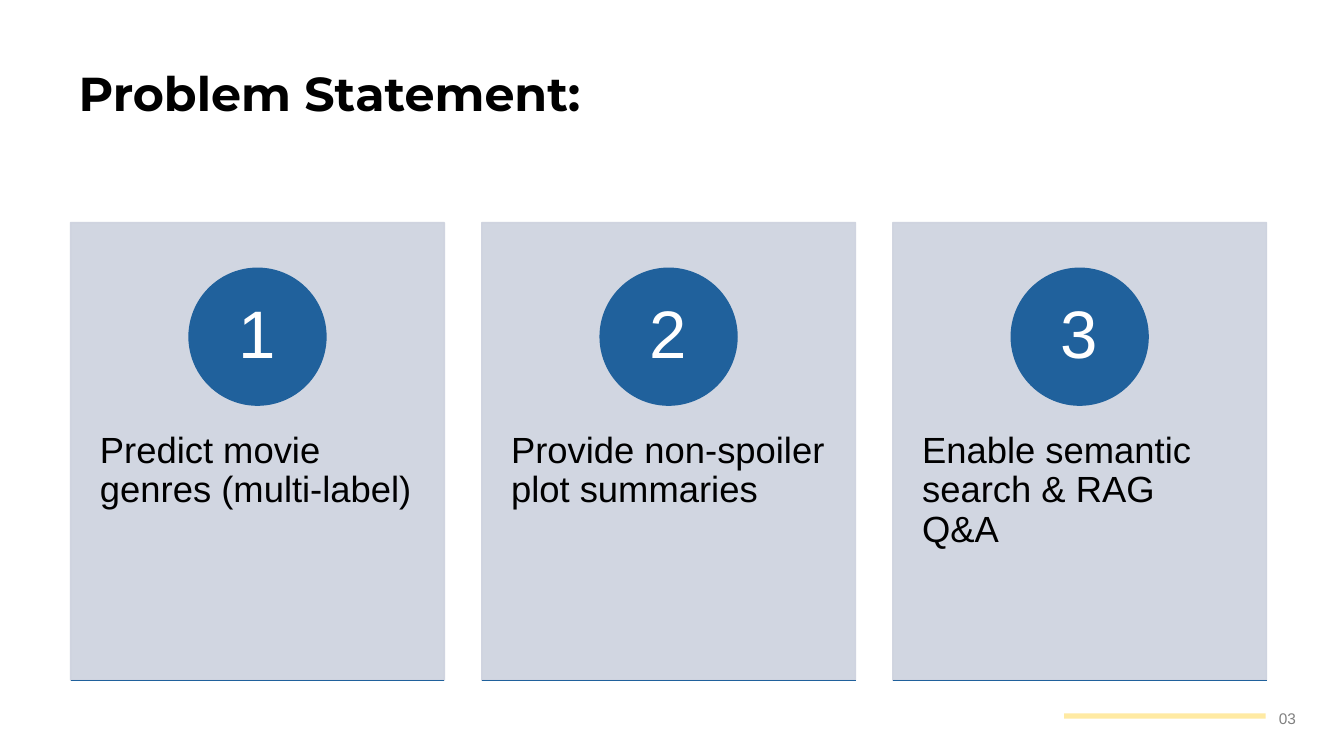
from dataclasses import dataclass

from lxml.etree import SubElement
from pptx import Presentation
from pptx.dml.color import RGBColor as RGB
from pptx.enum.shapes import MSO_CONNECTOR as CONN, MSO_SHAPE as SHAPE
from pptx.enum.text import MSO_ANCHOR as ANCHOR, PP_ALIGN as ALIGN
from pptx.oxml.ns import qn
from pptx.util import Cm, Pt


@dataclass(frozen=True)
class Theme:
    """Colours, fonts and type sizes of the slide."""
    blue: str = "20619C"
    card: str = "CDD2DE"
    yellow: str = "FFEAA3"
    black: str = "000000"
    white: str = "FFFFFF"
    grey: str = "808080"
    heading: str = "Montserrat"
    body: str = "Arial"
    title_size: int = 34
    number_size: int = 48
    text_size: int = 26
    page_size: int = 11
    alpha: int = 90


class Deck:
    """Draws styled elements on the current slide."""

    def __init__(self, prs, theme):
        """Add a blank slide and keep the theme."""
        self.theme = theme
        self.s = prs.slides.add_slide(prs.slide_layouts[6])

    def label(self, sp, text, size, color, font=None, bold=False, spacing=0.9,
              align=ALIGN.LEFT, anchor=ANCHOR.TOP, inset=(0.25, 0.13)):
        """Put one formatted paragraph in a shape."""
        tf = sp.text_frame
        x, y = map(Cm, inset)
        frame = {"word_wrap": True, "vertical_anchor": anchor, "margin_left": x,
                 "margin_right": x, "margin_top": y, "margin_bottom": y}
        for name, value in frame.items():
            setattr(tf, name, value)
        p = tf.paragraphs[0]
        p.alignment, p.line_spacing = align, spacing
        r = p.add_run()
        r.text = text
        style = {"size": Pt(size), "name": font or self.theme.body, "bold": bold}
        for name, value in style.items():
            setattr(r.font, name, value)
        r.font.color.rgb = RGB.from_string(color)

    def text(self, box, text, size, color, **style):
        """Add a text box."""
        self.label(self.s.shapes.add_textbox(*map(Cm, box)), text, size, color, **style)

    def shape(self, kind, box, color, outline=True, alpha=None):
        """Add a filled shape, outlined in its own colour if wanted."""
        sp = self.s.shapes.add_shape(kind, *map(Cm, box))
        sp.shadow.inherit = False
        fills = [sp.fill]
        if outline:
            sp.line.width = Pt(1)
            fills.append(sp.line.fill)
        else:
            sp.line.fill.background()
        for fill in fills:
            fill.solid()
            fill.fore_color.rgb = RGB.from_string(color)
        if alpha:
            for clr in sp._element.spPr.iter(qn("a:srgbClr")):
                SubElement(clr, qn("a:alpha"), val=str(alpha * 1000))
        return sp

    def rule(self, x, y, width, color):
        """Add a thin horizontal line."""
        c = self.s.shapes.add_connector(CONN.STRAIGHT, *map(Cm, (x, y, x + width, y)))
        c.line.width = Pt(1)
        c.line.color.rgb = RGB.from_string(color)
        SubElement(c._element.spPr, qn("a:effectLst"))

    def goal(self, x, number, text):
        """Add a card with a numbered circle, a goal and a base line."""
        t = self.theme
        top, width, height, circle = 5.61, 9.42, 11.53, 3.45
        self.shape(SHAPE.RECTANGLE, (x, top, width, height), t.card, alpha=t.alpha)
        self.text((x, 9.98, width, 6.91), text, t.text_size, t.black, inset=(0.74, 0.91))
        sp = self.shape(SHAPE.OVAL, (x + (width - circle) / 2, 6.76, circle, circle), t.blue)
        self.label(sp, str(number), t.number_size, t.white, align=ALIGN.CENTER,
                   anchor=ANCHOR.MIDDLE, inset=(0.28, 0.03))
        self.rule(x, top + height, width, t.blue)


def main():
    """Build and save the slide."""
    prs = Presentation()
    prs.slide_width, prs.slide_height = Cm(33.87), Cm(19.05)
    t = Theme()
    deck = Deck(prs, t)
    deck.shape(SHAPE.RECTANGLE, (26.82, 17.98, 5.08, 0.13), t.yellow, outline=False)
    deck.text((31.98, 17.5, 1.3, 0.89), "03", t.page_size, t.grey, spacing=1.5)
    deck.text((1.73, 1.57, 30.18, 1.68), "Problem Statement:", t.title_size, t.black,
              font=t.heading, bold=True, anchor=ANCHOR.MIDDLE)
    goals = ("Predict movie genres (multi‑label)",
             "Provide non‑spoiler plot summaries",
             "Enable semantic search & RAG Q&A")
    left, pitch = 1.78, 10.36
    for i, goal in enumerate(goals):
        deck.goal(left + i * pitch, i + 1, goal)
    prs.save("out.pptx")


if __name__ == "__main__":
    main()
